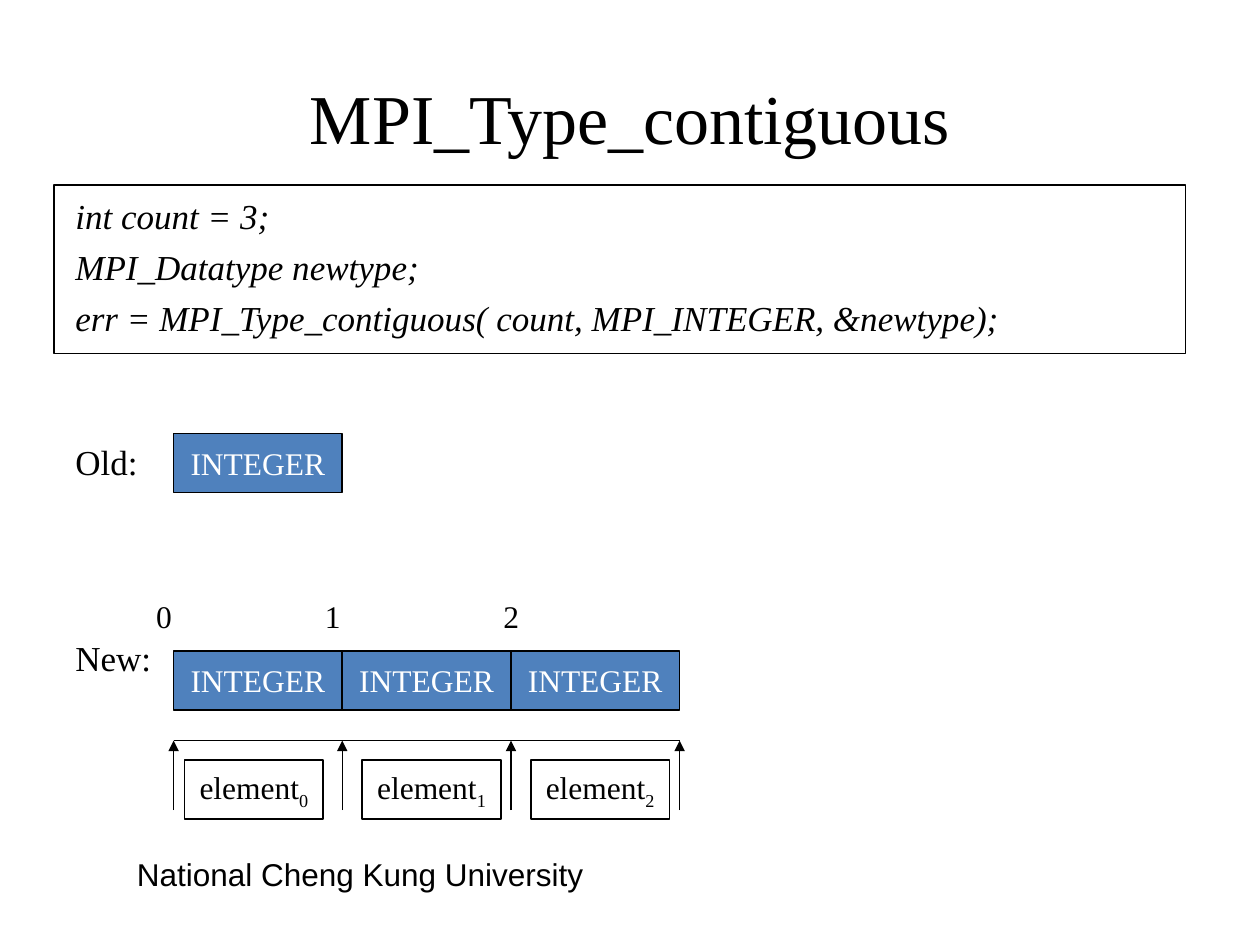
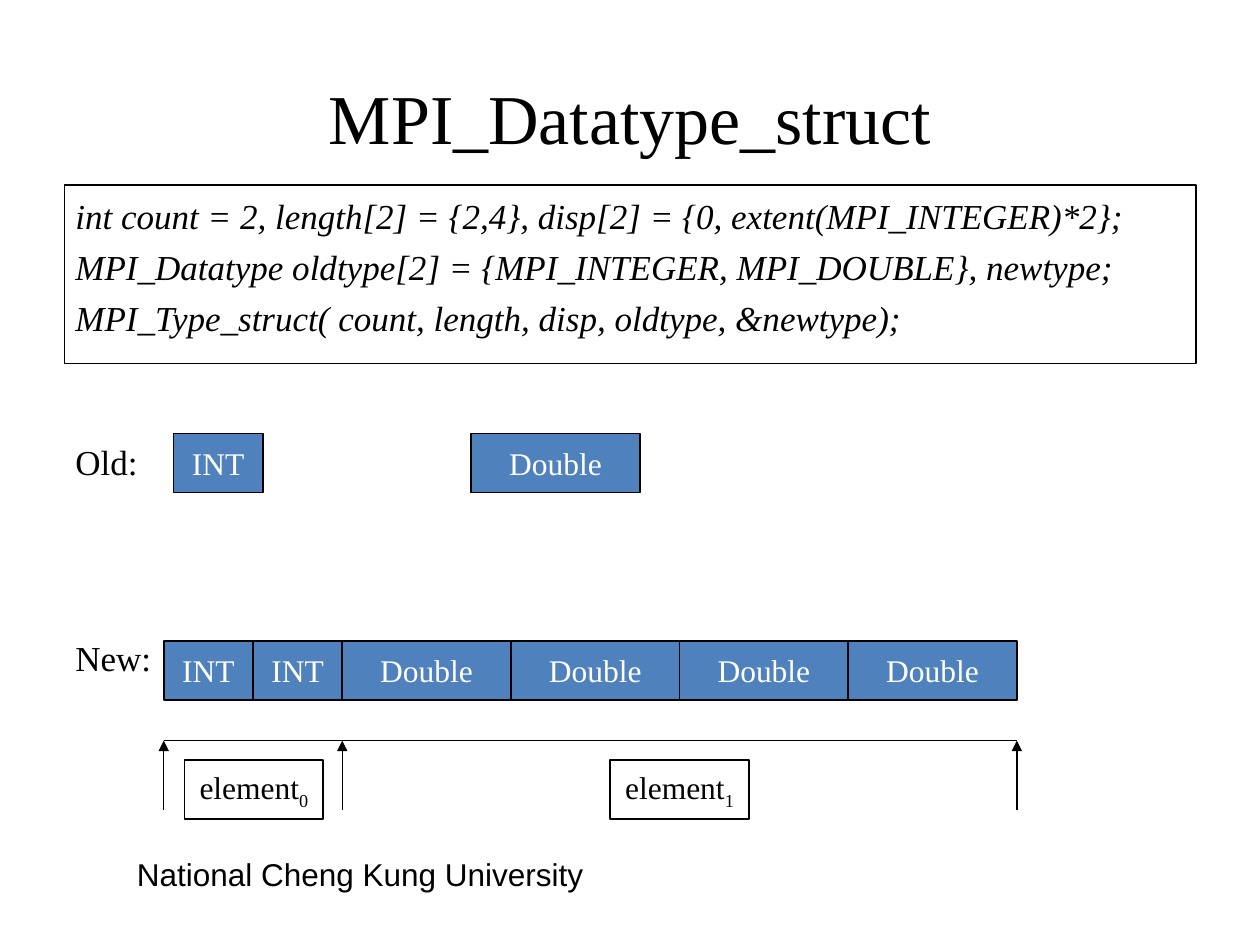
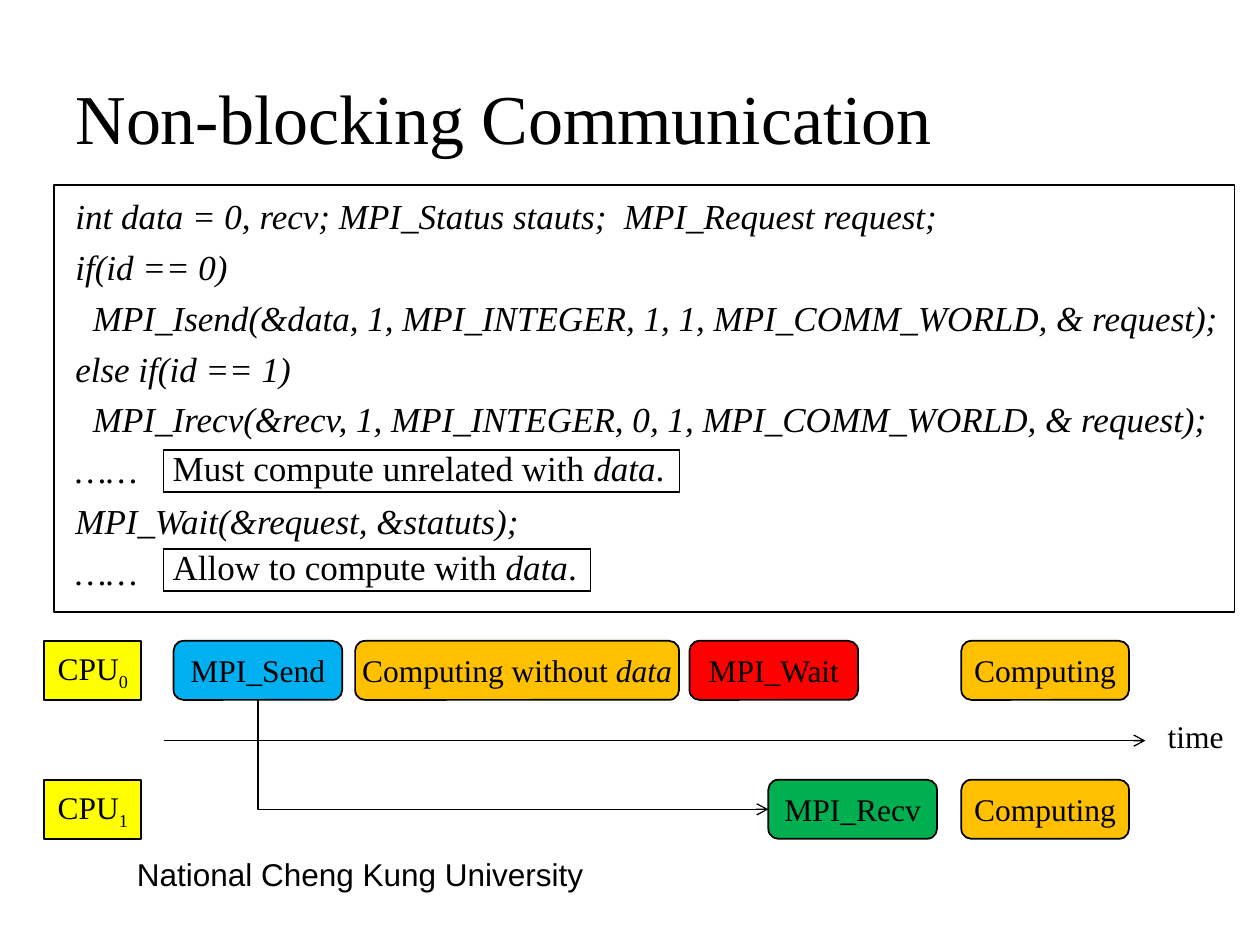
"""Build three slides on MPI derived datatypes and non-blocking communication."""
from dataclasses import dataclass
from itertools import accumulate

from lxml import etree
from pptx import Presentation
from pptx.dml.color import RGBColor
from pptx.enum import shapes, text
from pptx.oxml.ns import qn
from pptx.util import Cm, Pt


@dataclass(frozen=True)
class Theme:
    serif: str = "Times New Roman"
    sans: str = "Arial"
    black: str = "000000"
    white: str = "FFFFFF"
    cell: str = "4F81BD"
    cpu: str = "FFFF00"
    send: str = "00B0F0"
    recv: str = "00B050"
    wait: str = "FF0000"
    compute: str = "FFC000"
    title_size: int = 40
    code_size: int = 20
    label_size: int = 18
    border: float = 1
    rule: float = 0.75


T = Theme()
FOOTER = "National Cheng Kung University"
CELL_WIDTHS = {"INTEGER": 3.4, "INT": 1.8, "Double": 3.4}
CHIP_H = 1.19
AXIS_Y = 14.93
TICK_Y = 16.33
ELEMENT_Y, ELEMENT_W = 15.32, 2.8

DATATYPES = [
    {
        "title": "MPI_Type_contiguous",
        "code_box": (1.09, 3.73, 22.81, 3.4),
        "code": [
            "int count = 3;",
            "MPI_Datatype newtype;",
            "err = MPI_Type_contiguous( count, MPI_INTEGER, &newtype);",
        ],
        "old": [(3.5, "INTEGER")],
        "new_at": (3.5, 13.12),
        "groups": [["INTEGER"], ["INTEGER"], ["INTEGER"]],
        "elements": [3.72, 7.3, 10.7],
        "indices": [2.9, 6.3, 9.9],
    },
    {
        "title": "MPI_Datatype_struct",
        "code_box": (1.3, 3.73, 22.81, 3.6),
        "code": [
            "int count = 2, length[2] = {2,4}, disp[2] = {0, extent(MPI_INTEGER)*2};",
            "MPI_Datatype oldtype[2] = {MPI_INTEGER, MPI_DOUBLE}, newtype;",
            "MPI_Type_struct( count, length, disp, oldtype, &newtype);",
        ],
        "old": [(3.5, "INT"), (9.5, "Double")],
        "new_at": (3.3, 12.92),
        "groups": [["INT"] * 2, ["Double"] * 4],
        "elements": [3.72, 12.3],
        "indices": [],
    },
]

NONBLOCKING = {
    "title": "Non-blocking Communication",
    "code_box": (1.09, 3.73, 23.8, 8.61),
    "code": [
        "int data = 0, recv; MPI_Status stauts;  MPI_Request request;",
        "if(id == 0)",
        "  MPI_Isend(&data, 1, MPI_INTEGER, 1, 1, MPI_COMM_WORLD, & request);",
        "else if(id == 1)",
        "  MPI_Irecv(&recv, 1, MPI_INTEGER, 0, 1, MPI_COMM_WORLD, & request);",
        "……",
        "MPI_Wait(&request, &statuts);",
        "……",
    ],
    "remarks": [
        (9.07, 10.4, "Must compute unrelated with "),
        (11.07, 8.6, "Allow to compute with "),
    ],
    "lanes": [
        (12.92, [
            (3.5, 3.4, T.send, "MPI_Send"),
            (7.16, 6.53, T.compute, [("Computing without ", ""), ("data", "i")]),
            (13.9, 3.4, T.wait, "MPI_Wait"),
            (19.38, 3.38, T.compute, "Computing"),
        ]),
        (15.72, [
            (15.49, 3.4, T.recv, "MPI_Recv"),
            (19.38, 3.38, T.compute, "Computing"),
        ]),
    ],
}


def write(p, parts, size=T.label_size, color=T.black, font=T.serif):
    """Fill a paragraph from a string or (text, style) pairs; styles are i and sub."""
    for words, style in [(parts, "")] if isinstance(parts, str) else parts:
        r = p.add_run()
        r.text = words
        r.font.name, r.font.size = font, Pt(size)
        r.font.color.rgb = RGBColor.from_string(color)
        r.font.italic = style == "i"
        if style == "sub":
            r._r.get_or_add_rPr().set("baseline", "-25000")


def add_label(s, x, y, w, words, **style):
    """Add a one-line text box."""
    tf = s.shapes.add_textbox(Cm(x), Cm(y), Cm(w), Cm(1.02)).text_frame
    tf.word_wrap = True
    write(tf.paragraphs[0], words, **style)


def add_box(s, x, y, w, h, fill=None, rounded=False):
    """Add a black-bordered box."""
    kind = shapes.MSO_SHAPE.ROUNDED_RECTANGLE if rounded else shapes.MSO_SHAPE.RECTANGLE
    sp = s.shapes.add_shape(kind, Cm(x), Cm(y), Cm(w), Cm(h))
    sp.shadow.inherit = False
    if fill:
        sp.fill.solid()
        sp.fill.fore_color.rgb = RGBColor.from_string(fill)
    else:
        sp.fill.background()
    sp.line.color.rgb = RGBColor.from_string(T.black)
    sp.line.width = Pt(T.border)
    return sp


def add_chip(s, x, y, w, words, fill=None, color=T.black, rounded=False):
    """Add a box with one centred line of text."""
    tf = add_box(s, x, y, w, CHIP_H, fill, rounded).text_frame
    tf.word_wrap = False
    tf.vertical_anchor = text.MSO_ANCHOR.MIDDLE
    tf.paragraphs[0].alignment = text.PP_ALIGN.CENTER
    write(tf.paragraphs[0], words, color=color)


def add_cell(s, x, y, name):
    """Add one datatype cell."""
    add_chip(s, x, y, CELL_WIDTHS[name], name, T.cell, T.white)


def add_line(s, x1, y1, x2, y2, arrow=None, kind=shapes.MSO_CONNECTOR.STRAIGHT):
    """Add a thin line, with an arrowhead at its end if one is named."""
    c = s.shapes.add_connector(kind, Cm(x1), Cm(y1), Cm(x2), Cm(y2))
    c.line.color.rgb = RGBColor.from_string(T.black)
    c.line.width = Pt(T.rule)
    spPr = c.element.spPr
    if arrow:
        etree.SubElement(spPr.find(qn("a:ln")), qn("a:tailEnd"), type=arrow)
    etree.SubElement(spPr, qn("a:effectLst"))
    return c


def add_corner_arrow(s, x1, y1, x2, y2):
    """Add an arrow that goes down and then right."""
    cx, cy, half_w, half_h = (x1 + x2) / 2, (y1 + y2) / 2, (x2 - x1) / 2, (y2 - y1) / 2
    c = add_line(s, cx + half_h, cy - half_w, cx - half_h, cy + half_w, "arrow",
                 shapes.MSO_CONNECTOR.ELBOW)
    c.element.spPr.find(qn("a:xfrm")).set("rot", "16200000")
    c.element.spPr.find(qn("a:prstGeom")).set("prst", "bentConnector2")


def add_remark(s, y, w, words):
    """Add a bordered one-cell table that ends in the word data."""
    table = s.shapes.add_table(1, 1, Cm(3.3), Cm(y), Cm(w), Cm(0.84)).table
    table.first_row = table.horz_banding = False
    cell = table.cell(0, 0)
    cell.margin_left = cell.margin_right = Cm(0.18)
    cell.margin_top = cell.margin_bottom = 0
    write(cell.text_frame.paragraphs[0], [(words, ""), ("data", "i"), (".", "")], T.code_size)
    tcPr = cell._tc.get_or_add_tcPr()
    for side in ("a:lnL", "a:lnR", "a:lnT", "a:lnB"):
        ln = etree.SubElement(tcPr, qn(side), w=str(Pt(T.border)))
        fill = etree.SubElement(ln, qn("a:solidFill"))
        etree.SubElement(fill, qn("a:srgbClr"), val=T.black)
    cell.fill.background()


def start_slide(prs, content, align):
    """Add a slide with its title, footer and code box."""
    s = prs.slides.add_slide(prs.slide_layouts[5])
    title = s.shapes.title
    title.left, title.top, title.width, title.height = Cm(1.27), Cm(0.76), Cm(22.86), Cm(3.18)
    title.text_frame.vertical_anchor = text.MSO_ANCHOR.MIDDLE
    title.text_frame.paragraphs[0].alignment = align
    write(title.text_frame.paragraphs[0], content["title"], T.title_size)
    add_label(s, 2.51, 17.12, 13.59, FOOTER, font=T.sans)

    x, y, w, h = content["code_box"]
    tf = add_box(s, x, y, w, h).text_frame
    tf.word_wrap = True
    tf.vertical_anchor = text.MSO_ANCHOR.TOP
    tf.margin_left, tf.margin_right, tf.margin_top = Cm(1.52 - x), 0, Cm(0.2)
    for i, line in enumerate(content["code"]):
        p = tf.add_paragraph() if i else tf.paragraphs[0]
        p.alignment = text.PP_ALIGN.LEFT
        p.space_before = Pt(5 if i else 0)
        write(p, [(line, "i")], T.code_size)
    return s


def add_datatype_slide(prs, content):
    """Show the old types and the layout of the new type."""
    s = start_slide(prs, content, text.PP_ALIGN.CENTER)
    add_label(s, 1.27, 8.75, 2.2, "Old:", size=T.code_size)
    add_label(s, 1.27, 12.7, 2.2, "New:", size=T.code_size)
    for x, name in content["old"]:
        add_cell(s, x, 8.74, name)

    x, y = content["new_at"]
    ticks = list(accumulate((sum(CELL_WIDTHS[n] for n in g) for g in content["groups"]), initial=x))
    for start, group in zip(ticks, content["groups"]):
        for i, name in enumerate(group):
            add_cell(s, start + i * CELL_WIDTHS[name], y, name)
    for i, left in enumerate(content["indices"]):
        add_label(s, left, 11.91, 0.84, str(i))

    add_line(s, ticks[0], AXIS_Y, ticks[-1], AXIS_Y)
    for tick in ticks:
        add_line(s, tick, TICK_Y, tick, AXIS_Y, "triangle")
    for i, left in enumerate(content["elements"]):
        add_chip(s, left, ELEMENT_Y, ELEMENT_W, [("element", ""), (str(i), "sub")])


def add_nonblocking_slide(prs, content):
    """Show the code and the timeline of both processors."""
    s = start_slide(prs, content, text.PP_ALIGN.LEFT)
    for remark in content["remarks"]:
        add_remark(s, *remark)
    add_line(s, 3.3, AXIS_Y, 23.09, AXIS_Y, "arrow")
    add_label(s, 23.29, 14.33, 1.9, "time")
    for i, (y, steps) in enumerate(content["lanes"]):
        add_chip(s, 0.89, y, 1.96, [("CPU", ""), (str(i), "sub")], T.cpu)
        for x, w, fill, words in steps:
            add_chip(s, x, y, w, words, fill, rounded=True)
    (send_y, sends), (recv_y, recvs) = content["lanes"]
    add_corner_arrow(s, sends[0][0] + sends[0][1] / 2, send_y + CHIP_H,
                     recvs[0][0], recv_y + CHIP_H / 2)


def main():
    """Build and save the presentation."""
    prs = Presentation()
    prs.slide_width, prs.slide_height = Cm(25.4), Cm(19.05)
    for content in DATATYPES:
        add_datatype_slide(prs, content)
    add_nonblocking_slide(prs, NONBLOCKING)
    prs.save("out.pptx")


if __name__ == "__main__":
    main()
